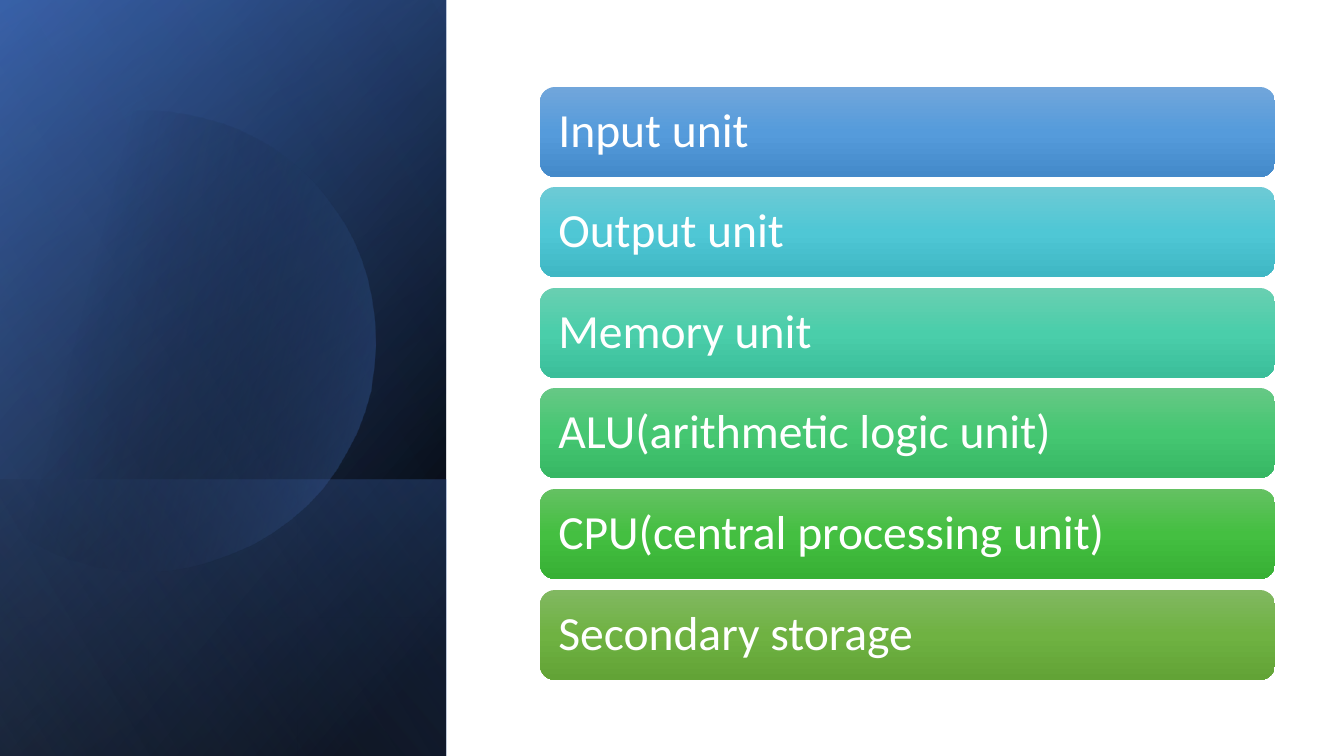
"""Build a slide listing computer units beside a dark blue gradient panel."""
from pptx import Presentation
from pptx.dml.color import RGBColor
from pptx.enum.shapes import MSO_SHAPE
from pptx.enum.text import MSO_ANCHOR, PP_ALIGN
from pptx.oxml import parse_xml
from pptx.oxml.ns import nsdecls
from pptx.util import Emu, Pt

UNIT = 914400 / 100.8


def px(*sizes):
    return [Emu(round(size * UNIT)) for size in sizes]


def paint(shape, stops, angle):
    marks = "".join(
        f'<a:gs pos="{pos * 1000}"><a:srgbClr val="{color}">'
        f'<a:alpha val="{alpha * 1000}"/></a:srgbClr></a:gs>'
        for pos, color, alpha in stops)
    grad = parse_xml(
        f'<a:gradFill {nsdecls("a")} rotWithShape="1"><a:gsLst>{marks}</a:gsLst>'
        f'<a:lin ang="{angle * 60000}" scaled="0"/></a:gradFill>')
    shape.fill.background()
    props = shape.element.spPr
    props.replace(props.find("{*}noFill"), grad)
    shape.line.fill.background()
    shape.shadow.inherit = False


deck = Presentation()
deck.slide_width, deck.slide_height = px(1344, 756)
slide = deck.slides.add_slide(deck.slide_layouts[6])
shapes = slide.shapes

FULL = (-155, 155, 756, 446)
BASE = (85, 395, 276, 446)
panels = [
    (FULL, [(8, "000000", 100), (100, "2F5597", 100)], 50),
    (FULL, [(0, "000000", 0), (99, "4472C4", 46)], 30),
    (BASE, [(2, "4472C4", 29), (100, "000000", 30)], 130),
    None,
    (FULL, [(0, "000000", 0), (99, "8FAADC", 11)], 120),
]
arcs = [
    [(150, 111), (249, 113), (338, 178), (366, 277)],
    [(366, 277), (401, 400), (331, 527), (209, 562)],
    [(209, 562), (132, 585), (53, 566), (-3, 518)],
    [(-15, 507), (-15, 507), (-15, 176), (-15, 176)],
    [(0, 162), (23, 143), (50, 129), (81, 120)],
    [(81, 120), (104, 114), (127, 111), (150, 111)],
]
STEPS = 16

for panel in panels:
    if panel:
        box, stops, angle = panel
        rect = shapes.add_shape(MSO_SHAPE.RECTANGLE, *px(*box))
        rect.rotation = 90
        rect.element.spPr.xfrm.set("flipH", "1")
        paint(rect, stops, angle)
    else:
        points = []
        for arc in arcs:
            for step in range(STEPS + 1):
                t = step / STEPS
                parts = ((1 - t) ** 3, 3 * t * (1 - t) ** 2, 3 * t * t * (1 - t), t ** 3)
                points.append([sum(w * v for w, v in zip(parts, axis)) for axis in zip(*arc)])
        pen = shapes.build_freeform(*points[0], scale=UNIT)
        pen.add_line_segments(points[1:], close=True)
        paint(pen.convert_to_shape(), [(29, "000000", 0), (100, "4472C4", 43)], 14)

units = [
    ("Input unit", "71A6DB", "559BDB", "448ACA"),
    ("Output unit", "6DCAD5", "4FC7D5", "3FB7C4"),
    ("Memory unit", "69CFB1", "4ACEAA", "3BBE9A"),
    ("ALU(arithmetic logic unit)", "66C885", "45C772", "37B764"),
    ("CPU(central processing unit)", "64C162", "44BF41", "37B034"),
    ("Secondary storage", "81B861", "6FB242", "62A336"),
]
for row, (label, *colors) in enumerate(units):
    top = 87 + row * 503 // 5
    bar = shapes.add_shape(MSO_SHAPE.ROUNDED_RECTANGLE, *px(540, top, 735, 90))
    paint(bar, [(50 * i, color, 100) for i, color in enumerate(colors)], 90)
    frame = bar.text_frame
    frame.word_wrap = True
    frame.vertical_anchor = MSO_ANCHOR.MIDDLE
    (frame.margin_left, frame.margin_top,
     frame.margin_right, frame.margin_bottom) = px(14, 14, 14, 14)
    line = frame.paragraphs[0]
    line.text = label
    line.alignment = PP_ALIGN.LEFT
    line.line_spacing = 0.9
    line.font.name = "Calibri"
    line.font.size = Pt(34)
    line.font.color.rgb = RGBColor.from_string("FFFFFF")

deck.save("out.pptx")
